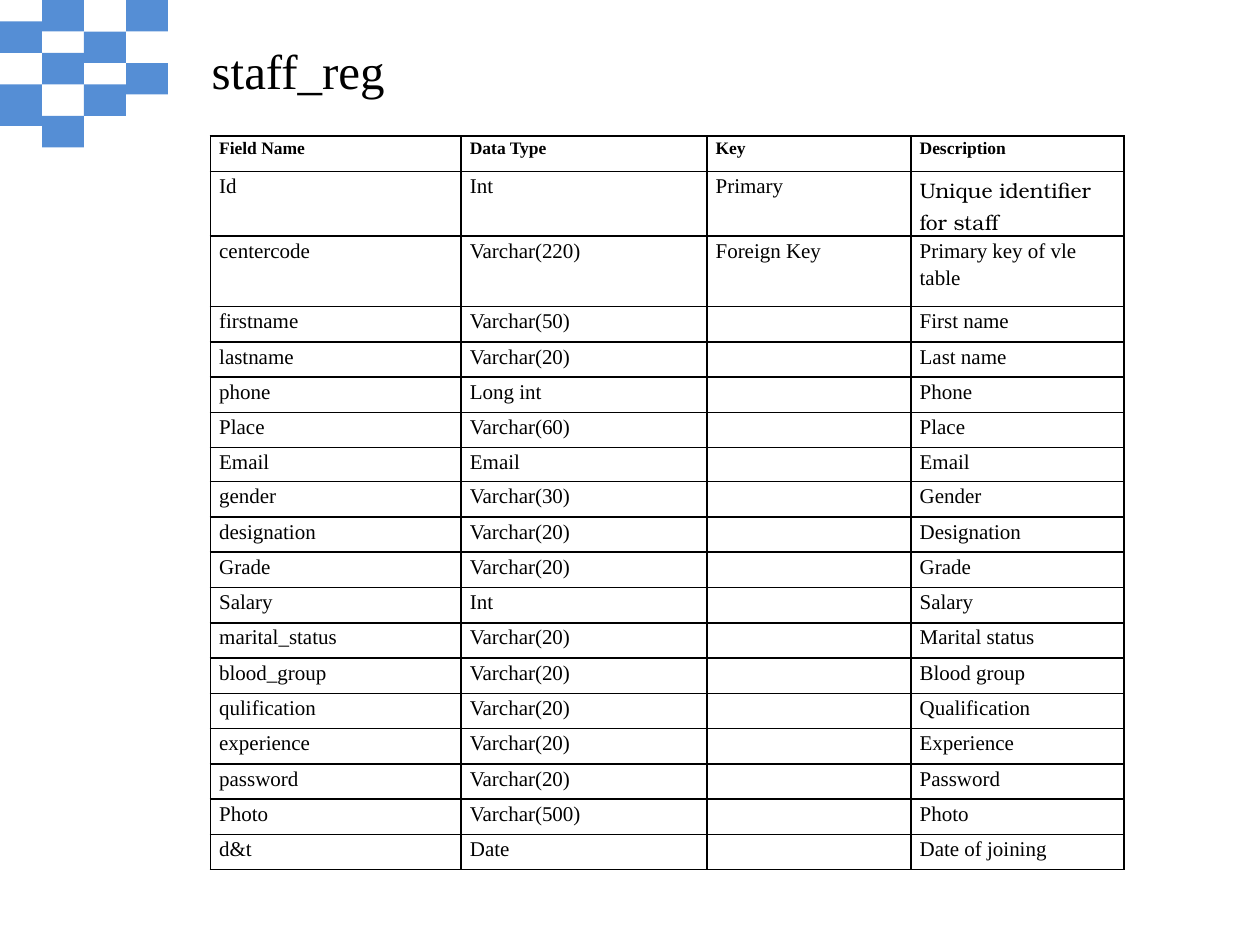
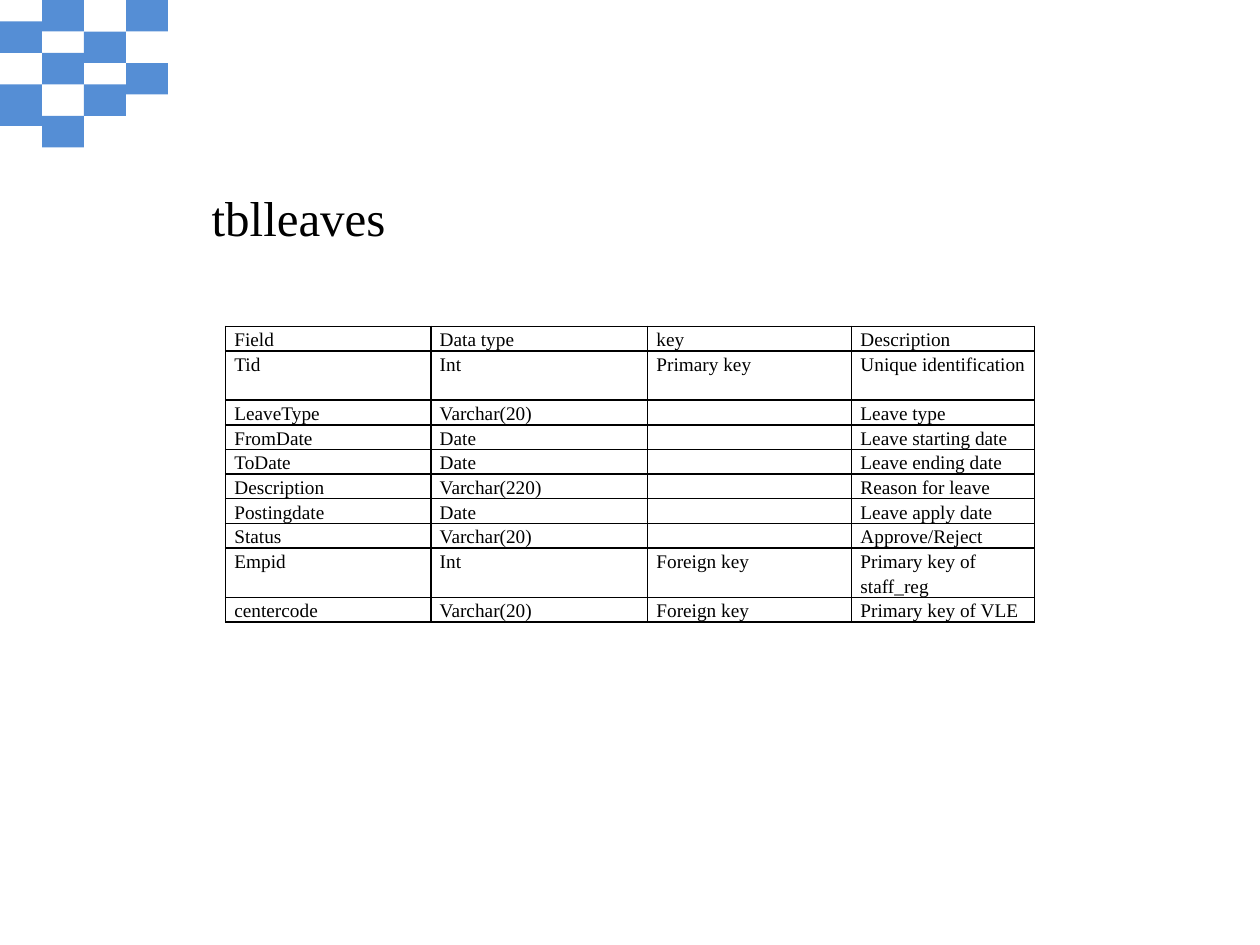
import pptx
import pptx.dml.color
import pptx.enum.shapes
import pptx.enum.text
import pptx.oxml
import pptx.util
from lxml import etree

Inches = pptx.util.Inches
Pt = pptx.util.Pt
Rgb = pptx.dml.color.RGBColor.from_string
Text = pptx.enum.text

STAFF = [
    ("Field Name", "Data Type", "Key", "Description"),
    ("Id", "Int", "Primary", "Unique identifier for staff"),
    ("centercode", "Varchar(220)", "Foreign Key", "Primary key of vle table"),
    ("firstname", "Varchar(50)", "", "First name"),
    ("lastname", "Varchar(20)", "", "Last name"),
    ("phone", "Long int", "", "Phone"),
    ("Place", "Varchar(60)", "", "Place"),
    ("Email", "Email", "", "Email"),
    ("gender", "Varchar(30)", "", "Gender"),
    ("designation", "Varchar(20)", "", "Designation"),
    ("Grade", "Varchar(20)", "", "Grade"),
    ("Salary", "Int", "", "Salary"),
    ("marital_status", "Varchar(20)", "", "Marital status"),
    ("blood_group", "Varchar(20)", "", "Blood group"),
    ("qulification", "Varchar(20)", "", "Qualification"),
    ("experience", "Varchar(20)", "", "Experience"),
    ("password", "Varchar(20)", "", "Password"),
    ("Photo", "Varchar(500)", "", "Photo"),
    ("d&t", "Date", "", "Date of joining"),
]
LEAVES = [
    ("Field", "Data type", "key", "Description"),
    ("Tid", "Int", "Primary key", "Unique identification"),
    ("LeaveType", "Varchar(20)", "", "Leave type"),
    ("FromDate", "Date", "", "Leave starting date"),
    ("ToDate", "Date", "", "Leave ending date"),
    ("Description", "Varchar(220)", "", "Reason for leave"),
    ("Postingdate", "Date", "", "Leave apply date"),
    ("Status", "Varchar(20)", "", "Approve/Reject"),
    ("Empid", "Int", "Foreign key", "Primary key of staff_reg"),
    ("centercode", "Varchar(20)", "Foreign key", "Primary key of VLE"),
]
THEME = {
    "blue": "558ED5", "ink": "000000", "rule": 1, "space": 1.15,
    "font": "Times New Roman", "serif": "TeX Gyre Bonum",
    "title": 28, "head": 10, "staff": 12, "leaves": 11,
}
PAGES = [
    {"title": "staff_reg", "box": (1.58, 0.25, 1.59, 0.88), "rows": STAFF,
     "at": (1.67, 1.08), "cols": (1.99, 1.95, 1.62, 1.69),
     "high": 0.28, "tall": {1: 0.51, 2: 0.56, 7: 0.27}, "size": "staff",
     "special": {(0, c): {"size": Pt(THEME["head"]), "bold": True} for c in range(4)}
     | {(1, 3): {"name": THEME["serif"]}}},
    {"title": "tblleaves", "box": (1.58, 1.42, 1.59, 1.04), "rows": LEAVES,
     "at": (1.79, 2.59), "cols": (1.63, 1.72, 1.62, 1.45),
     "high": 0.19, "tall": {1: 0.39, 8: 0.39}, "size": "leaves", "special": {}},
]
TILE = (1 / 3, 0.25)
TILES = [(0.17, 0.67, 0.75), (0, 0.42, 0.92), (0.25, 0.67), (0, 0.5)]
FRAME = {
    "word_wrap": False, "auto_size": Text.MSO_AUTO_SIZE.NONE,
    "vertical_anchor": Text.MSO_ANCHOR.TOP, "margin_top": Inches(0.07),
}
CELL = {
    "margin_left": Inches(0.07), "margin_right": Inches(0.07),
    "margin_top": 0, "margin_bottom": 0,
}


def apply(item, values):
    for name, value in values.items():
        setattr(item, name, value)


def style(font, size, extra=None):
    base = {"name": THEME["font"], "size": Pt(size), "bold": False}
    apply(font, base | (extra or {}))
    font.color.rgb = Rgb(THEME["ink"])


def add_tiles(layout, slide):
    for item in list(layout.placeholders):
        if item.placeholder_format.idx >= 10:
            layout.shapes.element.remove(item.element)
    wide, high = TILE
    for col, tops in enumerate(TILES):
        for top in tops:
            tile = slide.shapes.add_shape(
                pptx.enum.shapes.MSO_SHAPE.RECTANGLE,
                *map(Inches, (col * wide, top, wide, high)))
            tile.shadow.inherit = False
            tile.fill.solid()
            tile.fill.fore_color.rgb = Rgb(THEME["blue"])
            tile.line.fill.background()
            layout.shapes.element.append(tile.element)


def add_title(slide, page):
    title = slide.shapes.title
    apply(title, dict(zip(("left", "top", "width", "height"), map(Inches, page["box"]))))
    frame = title.text_frame
    frame.text = page["title"]
    apply(frame, FRAME)
    para = frame.paragraphs[0]
    para.alignment = Text.PP_ALIGN.LEFT
    style(para.runs[0].font, THEME["title"])


def add_rules(cell):
    props = cell._tc.get_or_add_tcPr()
    for side in "LRTB":
        props.append(pptx.oxml.parse_xml(
            f'<a:ln{side} xmlns:a="http://schemas.openxmlformats.org/drawingml/2006/main" '
            f'w="{Pt(THEME["rule"])}"><a:solidFill><a:srgbClr val="{THEME["ink"]}"/>'
            f'</a:solidFill></a:ln{side}>'))


def fill_cell(cell, text, size, extra):
    apply(cell, CELL)
    add_rules(cell)
    cell.fill.background()
    para = cell.text_frame.paragraphs[0]
    para.line_spacing = THEME["space"]
    if text:
        run = para.add_run()
        run.text = text
        style(run.font, size, extra)
    else:
        end = etree.SubElement(para._p, pptx.oxml.ns.qn("a:endParaRPr"))
        end.set("sz", str(size * 100))


def add_grid(slide, page):
    rows, cols = page["rows"], page["cols"]
    highs = [page["tall"].get(r, page["high"]) for r in range(len(rows))]
    table = slide.shapes.add_table(
        len(rows), len(cols), *map(Inches, (*page["at"], sum(cols), sum(highs)))).table
    apply(table, {"first_row": False, "horz_banding": False})
    for col, wide in zip(table.columns, cols):
        col.width = Inches(wide)
    for r, (row, high) in enumerate(zip(rows, highs)):
        table.rows[r].height = Inches(high)
        for c, text in enumerate(row):
            fill_cell(table.cell(r, c), text, THEME[page["size"]],
                      page["special"].get((r, c)))


def main():
    deck = pptx.Presentation()
    apply(deck, {"slide_width": Inches(10), "slide_height": Inches(7.5)})
    layout = deck.slide_layouts[5]
    for index, page in enumerate(PAGES):
        slide = deck.slides.add_slide(layout)
        if index == 0:
            add_tiles(layout, slide)
        add_grid(slide, page)
        add_title(slide, page)
    deck.save("out.pptx")


if __name__ == "__main__":
    main()
